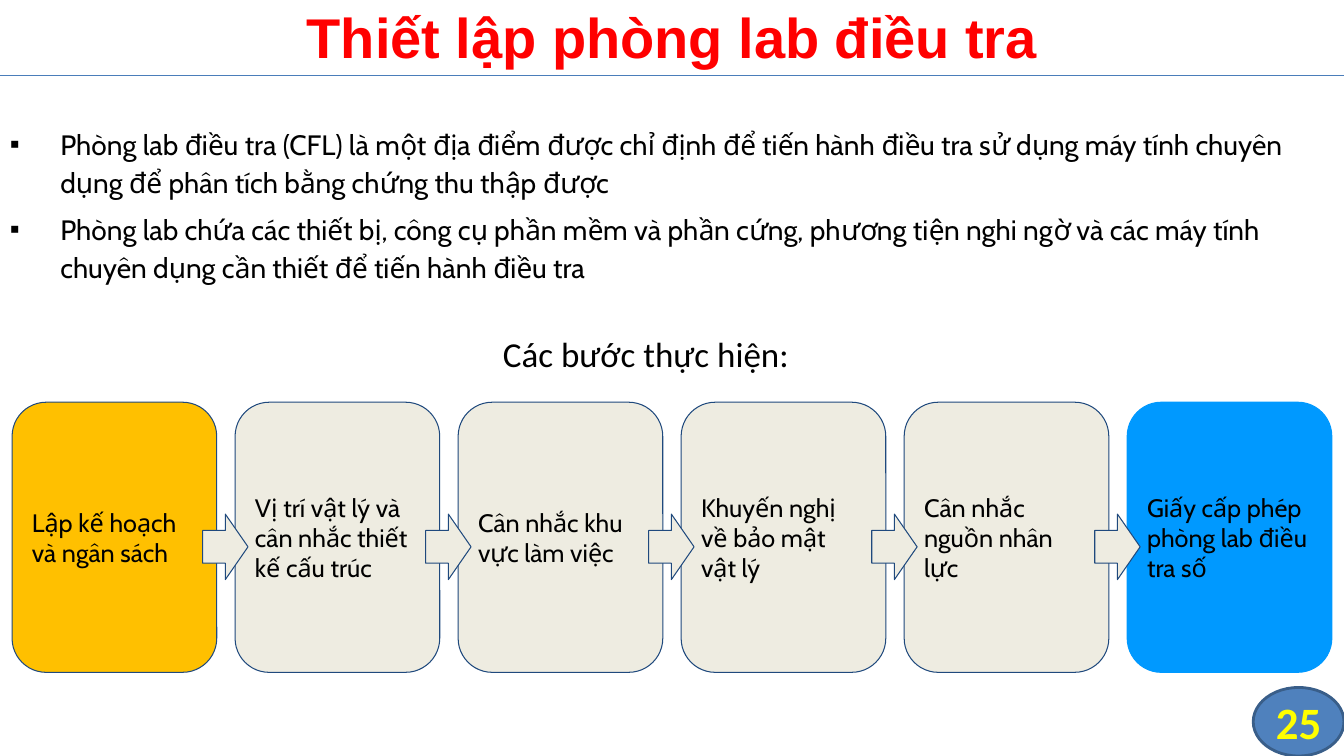
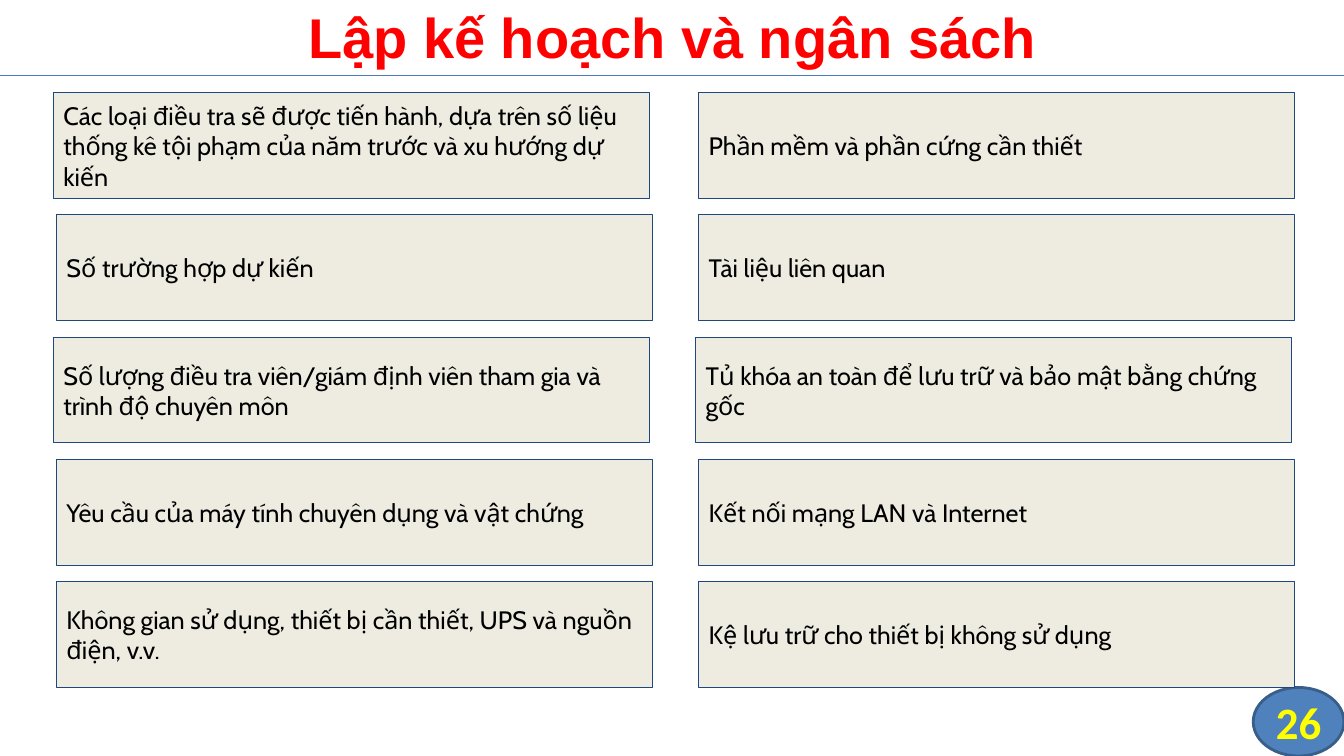
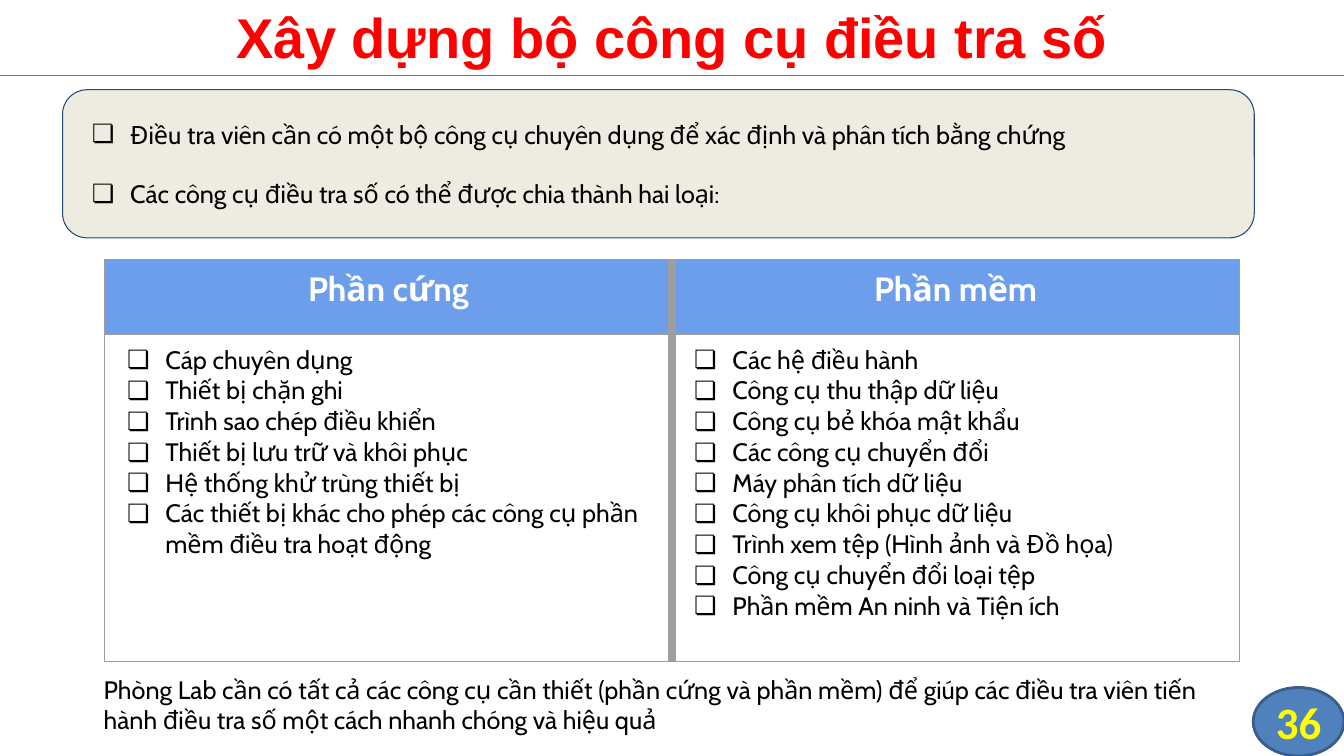
from lxml import etree
from pptx import Presentation
from pptx.dml.color import RGBColor
from pptx.enum.shapes import MSO_CONNECTOR, MSO_SHAPE
from pptx.enum.text import MSO_ANCHOR, PP_ALIGN
from pptx.oxml.ns import qn
from pptx.util import Inches, Pt

RECT = MSO_SHAPE.RECTANGLE
ROUNDED = MSO_SHAPE.ROUNDED_RECTANGLE
ARROW = MSO_SHAPE.RIGHT_ARROW
OVAL = MSO_SHAPE.FLOWCHART_CONNECTOR
STRAIGHT = MSO_CONNECTOR.STRAIGHT
TOP, MIDDLE = MSO_ANCHOR.TOP, MSO_ANCHOR.MIDDLE
LEFT, CENTER = PP_ALIGN.LEFT, PP_ALIGN.CENTER

WIDTH, HEIGHT = 13.33, 7.5
BLACK, WHITE, RED, YELLOW = "000000", "FFFFFF", "FF0000", "FFFF00"
CREAM, NAVY, AMBER, SKY = "EEECE1", "1F497D", "FFC000", "0099FF"
BADGE_FILL, BADGE_LINE, RULE = "4F81BD", "395E89", "4A7DBA"
HEADER_FILL, GRID = "6D9EEB", "9E9E9E"
BOX_INSETS = (0.1, 0.1, 0.1, 0.1)
HOLDER_INSETS = (0.1, 0.05, 0.1, 0.05)
NO_INSETS = (0, 0, 0, 0)
CHECKBOX = ("❏", 0.5, 0.38)
SQUARE = ("▪", 0.5, 0.5)

STEPS = [
    ("Lập kế hoạch và ngân sách", AMBER, NAVY),
    ("Vị trí vật lý và cân nhắc thiết kế cấu trúc", CREAM, NAVY),
    ("Cân nhắc khu vực làm việc", CREAM, NAVY),
    ("Khuyến nghị về bảo mật vật lý", CREAM, NAVY),
    ("Cân nhắc nguồn nhân lực", CREAM, NAVY),
    ("Giấy cấp phép phòng lab điều tra số", SKY, SKY),
]
LAB_POINTS = [
    "Phòng lab điều tra (CFL) là một địa điểm được chỉ định để tiến hành điều tra "
    "sử dụng máy tính chuyên dụng để phân tích bằng chứng thu thập được",
    "Phòng lab chứa các thiết bị, công cụ phần mềm và phần cứng, phương tiện nghi ngờ "
    "và các máy tính chuyên dụng cần thiết để tiến hành điều tra",
]
BUDGET_COLUMNS = [
    [
        (0.53, "Các loại điều tra sẽ được tiến hành, dựa trên số liệu thống kê "
               "tội phạm của năm trước và xu hướng dự kiến"),
        (0.56, "Số trường hợp dự kiến"),
        (0.53, "Số lượng điều tra viên/giám định viên tham gia và trình độ chuyên môn"),
        (0.56, "Yêu cầu của máy tính chuyên dụng và vật chứng"),
        (0.56, "Không gian sử dụng, thiết bị cần thiết, UPS và nguồn điện, v.v."),
    ],
    [
        (6.93, "Phần mềm và phần cứng cần thiết"),
        (6.93, "Tài liệu liên quan"),
        (6.9, "Tủ khóa an toàn để lưu trữ và bảo mật bằng chứng gốc"),
        (6.93, "Kết nối mạng LAN và Internet"),
        (6.93, "Kệ lưu trữ cho thiết bị không sử dụng"),
    ],
]
TOOLKIT_POINTS = [
    "Điều tra viên cần có một bộ công cụ chuyên dụng để xác định và phân tích bằng chứng",
    "Các công cụ điều tra số có thể được chia thành hai loại:",
]
TOOLS = {
    "Phần cứng": [
        "Cáp chuyên dụng",
        "Thiết bị chặn ghi",
        "Trình sao chép điều khiển",
        "Thiết bị lưu trữ và khôi phục",
        "Hệ thống khử trùng thiết bị",
        "Các thiết bị khác cho phép các công cụ phần mềm điều tra hoạt động",
    ],
    "Phần mềm": [
        "Các hệ điều hành",
        "Công cụ thu thập dữ liệu",
        "Công cụ bẻ khóa mật khẩu",
        "Các công cụ chuyển đổi",
        "Máy phân tích dữ liệu",
        "Công cụ khôi phục dữ liệu",
        "Trình xem tệp (Hình ảnh và Đồ họa)",
        "Công cụ chuyển đổi loại tệp",
        "Phần mềm An ninh và Tiện ích",
    ],
}
TOOLKIT_SUMMARY = (
    "Phòng Lab cần có tất cả các công cụ cần thiết (phần cứng và phần mềm) để giúp các "
    "điều tra viên tiến hành điều tra số một cách nhanh chóng và hiệu quả"
)


def color(value):
    return RGBColor.from_string(value)


def add_bullet(paragraph, mark, indent, hanging):
    props = paragraph._p.get_or_add_pPr()
    props.set("marL", str(Inches(indent)))
    props.set("indent", str(-Inches(hanging)))
    tint = etree.SubElement(props, qn("a:buClr"))
    etree.SubElement(tint, qn("a:srgbClr"), val=BLACK)
    etree.SubElement(props, qn("a:buFont"), typeface="Arial")
    etree.SubElement(props, qn("a:buChar"), char=mark)


def put_text(frame, *lines, size=18, font="Cabin", tint=BLACK, bold=False,
             align=LEFT, bullet=None, gap=0, spacing=None):
    for index, line in enumerate(lines):
        paragraph = frame.add_paragraph() if index else frame.paragraphs[0]
        if bullet:
            add_bullet(paragraph, *bullet)
        paragraph.alignment = align
        if spacing:
            paragraph.line_spacing = spacing
        if index and gap:
            paragraph.space_before = Pt(gap)
        run = paragraph.add_run()
        run.text = line
        run.font.size = Pt(size)
        run.font.name = font
        run.font.bold = bold
        run.font.color.rgb = color(tint)


def set_frame(frame, insets, anchor):
    frame.word_wrap = True
    frame.vertical_anchor = anchor
    (frame.margin_left, frame.margin_top,
     frame.margin_right, frame.margin_bottom) = map(Inches, insets)


def add_label(slide, box, *lines, insets=BOX_INSETS, anchor=TOP, **style):
    frame = slide.shapes.add_textbox(*map(Inches, box)).text_frame
    set_frame(frame, insets, anchor)
    put_text(frame, *lines, **style)


def add_panel(slide, kind, box, *lines, fill=CREAM, line=NAVY, weight=0.75, **style):
    panel = slide.shapes.add_shape(kind, *map(Inches, box))
    panel.shadow.inherit = False
    panel.fill.solid()
    panel.fill.fore_color.rgb = color(fill)
    panel.line.color.rgb = color(line)
    panel.line.width = Pt(weight)
    if lines:
        set_frame(panel.text_frame, BOX_INSETS, MIDDLE)
        put_text(panel.text_frame, *lines, **style)


def add_rule(slide, y):
    rule = slide.shapes.add_connector(STRAIGHT, 0, Inches(y), Inches(WIDTH), Inches(y))
    rule.line.color.rgb = color(RULE)
    rule.line.width = Pt(0.75)
    etree.SubElement(rule._element.spPr, qn("a:effectLst"))


def new_slide(deck, title, number):
    slide = deck.slides.add_slide(deck.slide_layouts[6])
    badge = (12.43, 6.82, 0.9, 0.68)
    add_panel(slide, OVAL, badge, fill=BADGE_FILL, line=BADGE_LINE, weight=2)
    add_rule(slide, 0.75)
    add_label(slide, (0, -0.03, WIDTH, 0.78), title, insets=HOLDER_INSETS, anchor=MIDDLE,
              size=40, font="Arial", tint=RED, bold=True, align=CENTER)
    add_label(slide, badge, str(number), insets=NO_INSETS, anchor=MIDDLE,
              size=32, font="Calibri", tint=YELLOW, bold=True, align=CENTER)
    return slide


def set_borders(cell, **weights):
    props = cell._tc.get_or_add_tcPr()
    for side in "LRTB":
        border = etree.SubElement(props, qn(f"a:ln{side}"),
                                  w=str(Pt(weights.get(side, 0.75))))
        fill = etree.SubElement(border, qn("a:solidFill"))
        etree.SubElement(fill, qn("a:srgbClr"), val=GRID)


def format_cell(cell, divider, fill=None):
    set_borders(cell, **{divider: 6})
    if fill:
        cell.fill.solid()
        cell.fill.fore_color.rgb = color(fill)
    else:
        cell.fill.background()
    (cell.margin_left, cell.margin_top,
     cell.margin_right, cell.margin_bottom) = map(Inches, BOX_INSETS)


def add_tool_table(slide):
    heights = (0.75, 3.24)
    table = slide.shapes.add_table(2, len(TOOLS), Inches(1.04), Inches(2.57),
                                   Inches(11.25), Inches(sum(heights))).table
    table.first_row = table.horz_banding = False
    for row, height in zip(table.rows, heights):
        row.height = Inches(height)
    for column, (heading, tools) in enumerate(TOOLS.items()):
        divider = "L" if column else "R"
        head, body = table.cell(0, column), table.cell(1, column)
        format_cell(head, divider, HEADER_FILL)
        format_cell(body, divider)
        put_text(head.text_frame, heading, size=24, tint=WHITE, bold=True, align=CENTER)
        put_text(body.text_frame, *tools, bullet=CHECKBOX)


def build_lab_setup(deck):
    slide = new_slide(deck, "Thiết lập phòng lab điều tra", 25)
    pitch = (11.18 - 0.12) / (len(STEPS) - 1)
    for index, (step, fill, line) in enumerate(STEPS):
        add_panel(slide, ROUNDED, (0.12 + index * pitch, 3.99, 2.03, 2.68), step,
                  fill=fill, line=line)
    for index in range(len(STEPS) - 1):
        add_panel(slide, ARROW, (2.01 + index * pitch, 5.1, 0.45, 0.65))
    add_label(slide, (0, 1.17, WIDTH, 1.9), *LAB_POINTS, insets=HOLDER_INSETS,
              size=20, bullet=SQUARE, gap=6, spacing=1.14)
    add_label(slide, (4.89, 3.2, 3.55, 0.62), "Các bước thực hiện:",
              size=25, font="Calibri")


def build_budget(deck):
    slide = new_slide(deck, "Lập kế hoạch và ngân sách", 26)
    pitch = (5.77 - 0.92) / 4
    for column in BUDGET_COLUMNS:
        for row, (left, need) in enumerate(column):
            add_panel(slide, RECT, (left, 0.92 + row * pitch, 5.91, 1.05), need)


def build_toolkit(deck):
    slide = new_slide(deck, "Xây dựng bộ công cụ điều tra số", 36)
    add_panel(slide, ROUNDED, (0.62, 0.89, 11.82, 1.47), *TOOLKIT_POINTS,
              bullet=CHECKBOX, gap=21)
    add_tool_table(slide)
    add_label(slide, (0.93, 6.59, 11.48, 0.81), TOOLKIT_SUMMARY)


def main():
    deck = Presentation()
    deck.slide_width, deck.slide_height = Inches(WIDTH), Inches(HEIGHT)
    build_lab_setup(deck)
    build_budget(deck)
    build_toolkit(deck)
    deck.save("out.pptx")


if __name__ == "__main__":
    main()
